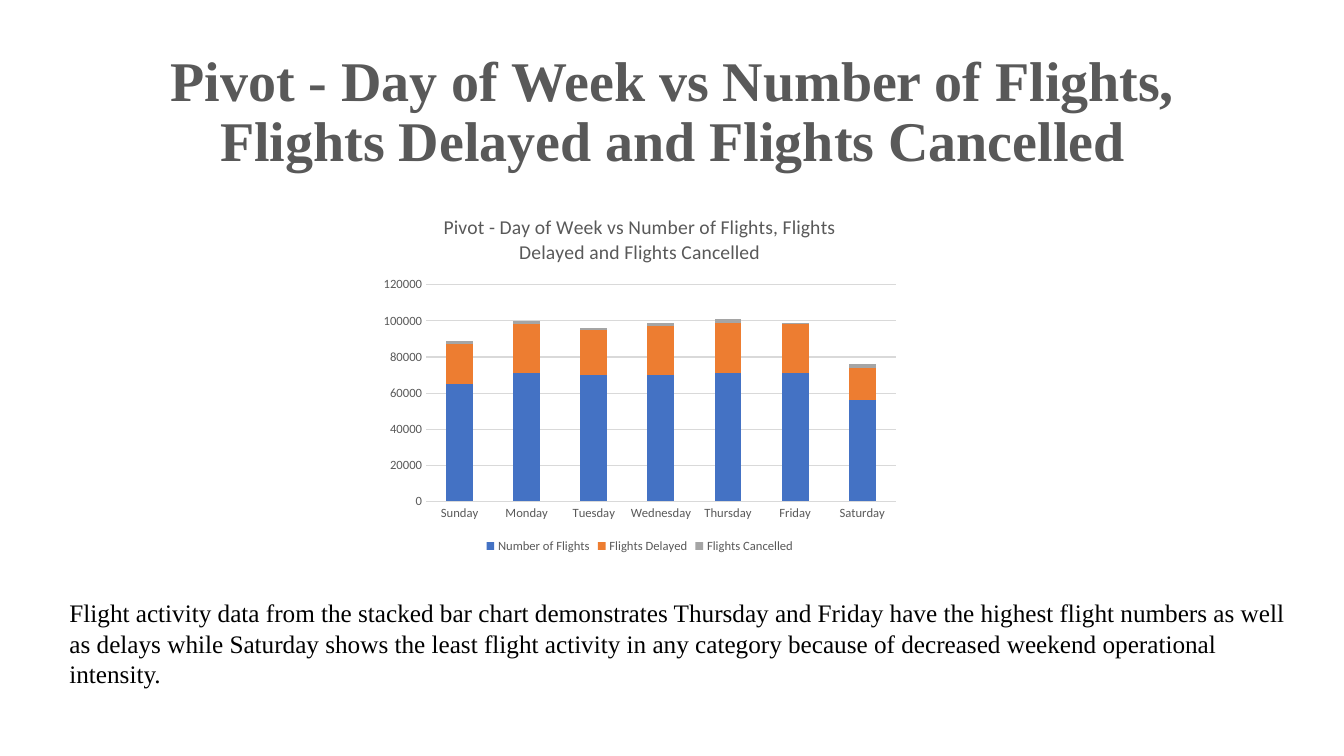
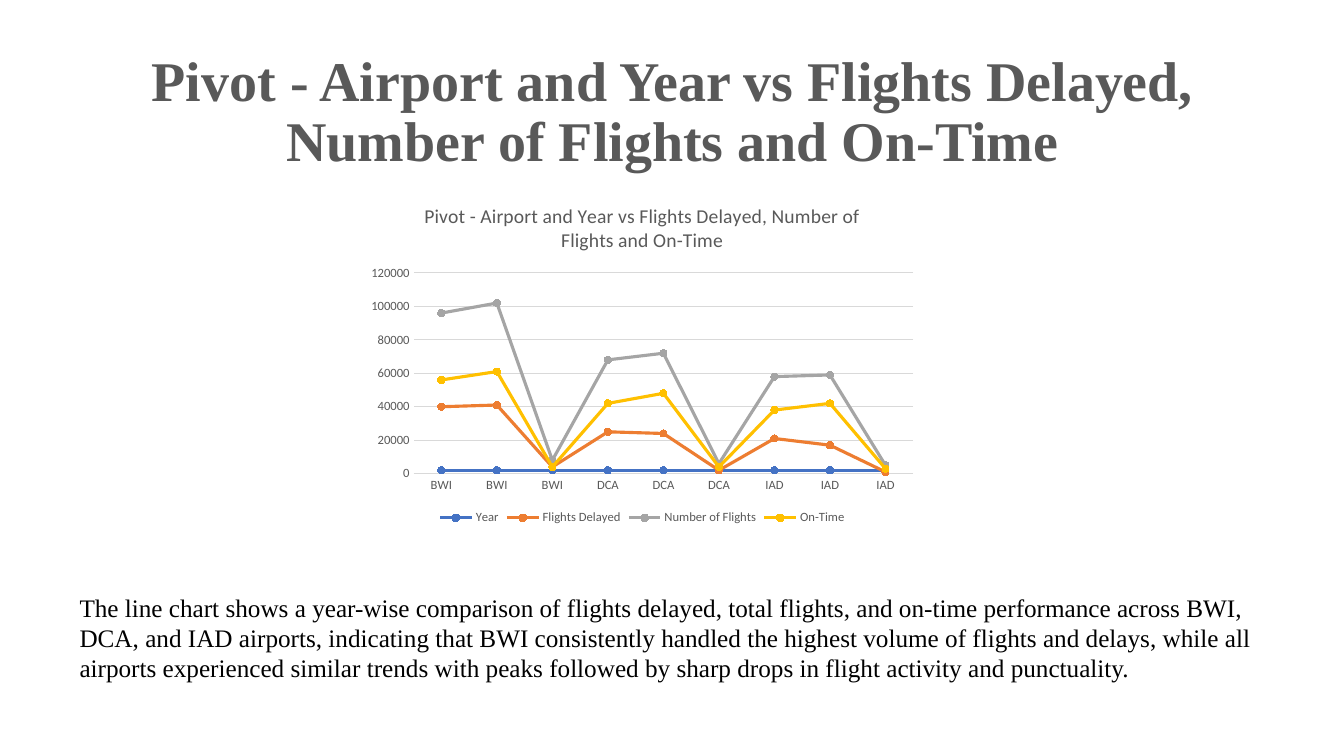
from pptx import Presentation
from pptx.chart.data import CategoryChartData
from pptx.dml.color import RGBColor
from pptx.enum.chart import XL_CHART_TYPE, XL_LEGEND_POSITION, XL_MARKER_STYLE, XL_TICK_MARK
from pptx.enum.text import MSO_ANCHOR, PP_ALIGN
from pptx.util import Emu, Pt

STACKED, LINES = XL_CHART_TYPE.COLUMN_STACKED, XL_CHART_TYPE.LINE_MARKERS
BOTTOM, CIRCLE, NO_TICK = XL_LEGEND_POSITION.BOTTOM, XL_MARKER_STYLE.CIRCLE, XL_TICK_MARK.NONE
TOP, MIDDLE = MSO_ANCHOR.TOP, MSO_ANCHOR.MIDDLE
LEFT, CENTER = PP_ALIGN.LEFT, PP_ALIGN.CENTER

PX = 9144  # 100 px to the inch
COLORS = {"heading": "595959", "body": "000000", "grid": "D9D9D9",
          "blue": "4472C4", "orange": "ED7D31", "gray": "A5A5A5", "gold": "FFC000"}
SERIES_COLORS = ["blue", "orange", "gray", "gold"]
TEXT_FONT, CHART_FONT = "Times New Roman", "Calibri"
TITLE_AREA = (92, 40, 1150, 145)

# Content
SLIDES = [
    {
        "title": "Pivot - Day of Week vs Number of Flights, Flights Delayed and Flights Cancelled",
        "chart": STACKED,
        "chart_area": (370, 196, 529, 357),
        "categories": ["Sunday", "Monday", "Tuesday", "Wednesday", "Thursday", "Friday", "Saturday"],
        "series": {
            "Number of Flights": [65000, 71000, 70000, 70000, 71000, 71000, 56000],
            "Flights Delayed": [22000, 27000, 25000, 27000, 28000, 27000, 18000],
            "Flights Cancelled": [2000, 2000, 1000, 2000, 2000, 1000, 2000],
        },
        "note": "Flight activity data from the stacked bar chart demonstrates Thursday and Friday "
                "have the highest flight numbers as well as delays while Saturday shows the least "
                "flight activity in any category because of decreased weekend operational intensity.",
        "note_area": (59, 588, 1228, 101),
        "note_anchor": TOP,
    },
    {
        "title": "Pivot - Airport and Year vs Flights Delayed, Number of Flights and On-Time",
        "chart": LINES,
        "chart_area": (357, 185, 560, 340),
        "categories": [airport for airport in ("BWI", "DCA", "IAD") for _ in range(3)],
        "series": {
            "Year": [2000] * 9,
            "Flights Delayed": [40000, 41000, 4000, 25000, 24000, 2000, 21000, 17000, 1000],
            "Number of Flights": [96000, 102000, 8000, 68000, 72000, 6000, 58000, 59000, 5000],
            "On-Time": [56000, 61000, 4000, 42000, 48000, 4000, 38000, 42000, 3000],
        },
        "note": "The line chart shows a year-wise comparison of flights delayed, total flights, and "
                "on-time performance across BWI, DCA, and IAD airports, indicating that BWI "
                "consistently handled the highest volume of flights and delays, while all airports "
                "experienced similar trends with peaks followed by sharp drops in flight activity "
                "and punctuality.",
        "note_area": (69, 582, 1209, 101),
        "note_anchor": MIDDLE,
    },
]


def color(name):
    return RGBColor.from_string(COLORS[name])


def place(area):
    return [Emu(length * PX) for length in area]


def set_font(font, name, size, shade, bold=False):
    font.name, font.size, font.bold = name, Pt(size), bold
    font.color.rgb = color(shade)


def set_line(line, shade, width):
    line.color.rgb = color(shade)
    line.width = Pt(width)


def add_text(page, area, text, size=18, shade="body", bold=False,
             align=LEFT, anchor=TOP, spacing=1.0):
    frame = page.shapes.add_textbox(*place(area)).text_frame
    frame.word_wrap = True
    frame.vertical_anchor = anchor
    para = frame.paragraphs[0]
    para.alignment, para.line_spacing = align, spacing
    span = para.add_run()
    span.text = text
    set_font(span.font, TEXT_FONT, size, shade, bold)


def style_axes(chart, kind):
    for axis in (chart.category_axis, chart.value_axis):
        axis.major_tick_mark = axis.minor_tick_mark = NO_TICK
        axis.format.line.fill.background()
        set_font(axis.tick_labels.font, CHART_FONT, 9, "heading")
    if kind == LINES:
        set_line(chart.category_axis.format.line, "grid", 0.75)
    chart.value_axis.has_major_gridlines = True
    set_line(chart.value_axis.major_gridlines.format.line, "grid", 0.75)


def style_series(plot, kind):
    plot.vary_by_categories = False
    if kind == STACKED:
        plot.gap_width, plot.overlap = 150, 100
    for series, shade in zip(plot.series, SERIES_COLORS):
        if kind == STACKED:
            fills = [series.format.fill]
        else:
            series.smooth = False
            set_line(series.format.line, shade, 2.25)
            series.marker.style, series.marker.size = CIRCLE, 5
            set_line(series.marker.format.line, shade, 0.75)
            fills = [series.marker.format.fill]
        for fill in fills:
            fill.solid()
            fill.fore_color.rgb = color(shade)


def add_flight_chart(page, content):
    kind = content["chart"]
    data = CategoryChartData()
    data.categories = content["categories"]
    for name, values in content["series"].items():
        data.add_series(name, values)
    chart = page.shapes.add_chart(kind, *place(content["chart_area"]), data).chart
    set_font(chart.font, CHART_FONT, 10, "body")

    # Chart title and legend
    chart.has_title = True
    chart.chart_title.include_in_layout = False
    para = chart.chart_title.text_frame.paragraphs[0]
    span = para.add_run()
    span.text = content["title"]
    set_font(span.font, CHART_FONT, 14, "heading")
    chart.has_legend = True
    chart.legend.position = BOTTOM
    chart.legend.include_in_layout = False
    set_font(chart.legend.font, CHART_FONT, 9, "heading")

    style_axes(chart, kind)
    style_series(chart.plots[0], kind)


def main():
    deck = Presentation()
    deck.slide_width, deck.slide_height = place((1333, 750))
    for content in SLIDES:
        page = deck.slides.add_slide(deck.slide_layouts[6])
        add_text(page, TITLE_AREA, content["title"], size=40, shade="heading", bold=True,
                 align=CENTER, anchor=MIDDLE, spacing=0.9)
        add_flight_chart(page, content)
        add_text(page, content["note_area"], content["note"], anchor=content["note_anchor"])
    deck.save("out.pptx")


if __name__ == "__main__":
    main()
